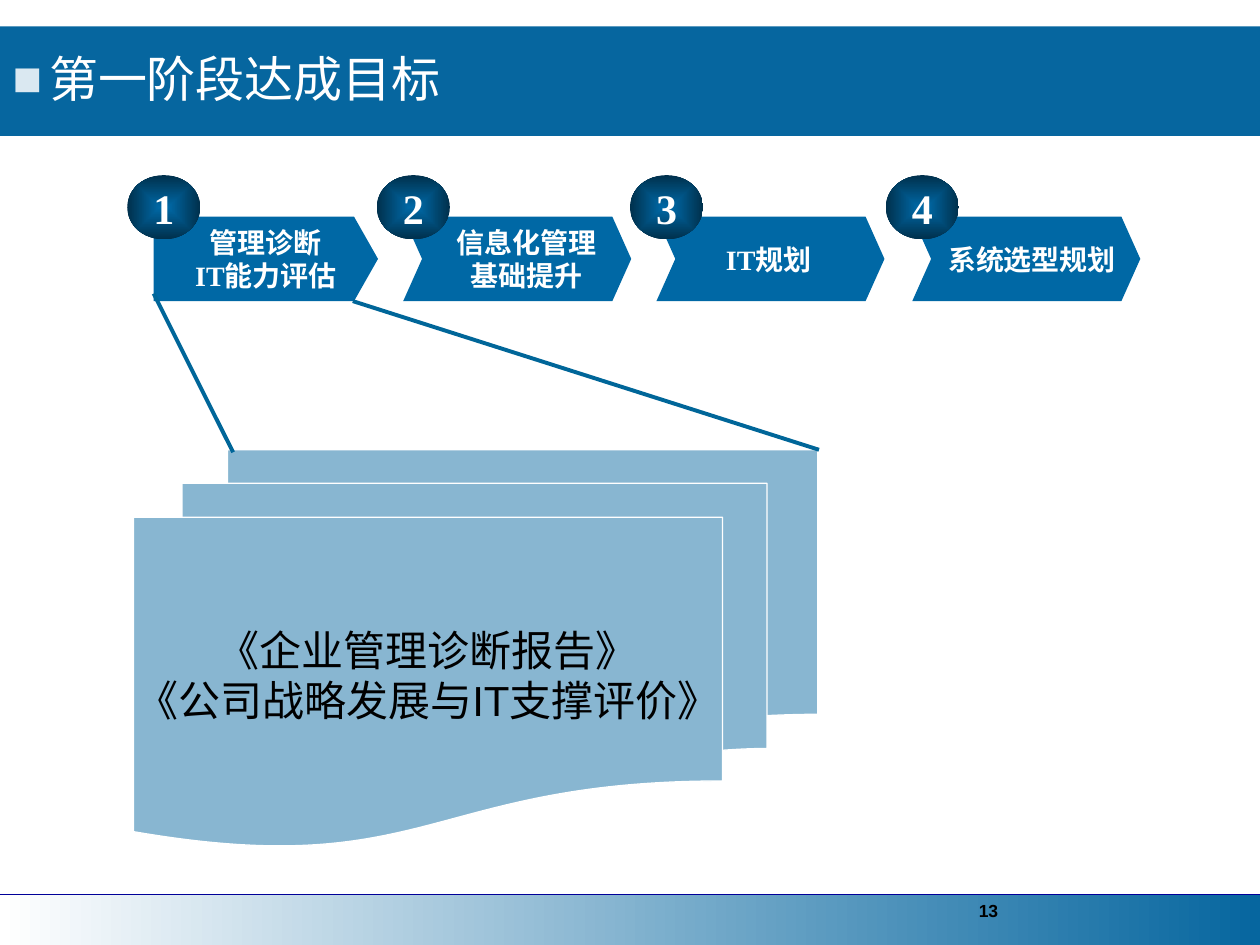
from lxml import etree
from pptx import Presentation
from pptx import util as u
from pptx.dml.color import RGBColor
from pptx.enum import shapes, text
from pptx.oxml import ns

COLORS = {
    "band": "06669F", "arrow": "0068A5", "badge_edge": "00304C",
    "document": "88B6D1", "callout": "006699", "rule": "000099",
    "bullet": "DAE8F1", "white": "FFFFFF", "black": "000000",
}
TITLE = "第一阶段达成目标"
PAGE = "13"
STAGES = [
    {"lines": ["管理诊断", "IT能力评估"], "left": 1.22, "width": 1.78, "tip": 0.19,
     "notch": 0, "center": 2.11, "label_width": 1.5},
    {"lines": ["信息化管理", "基础提升"], "left": 3.2, "center": 4.18},
    {"lines": ["IT规划"], "left": 5.21, "center": 6.1},
    {"lines": ["系统选型规划"], "left": 7.24, "center": 8.19},
]
STAGE_DEFAULTS = {"width": 1.81, "tip": 0.15, "notch": 0.15, "label_width": 1.82}
REPORTS = ["《企业管理诊断报告》", "《公司战略发展与IT支撑评价》"]
CALLOUTS = [(1.22, 2.33, 1.85, 3.59), (2.8, 2.39, 6.5, 3.57)]

WIDTH, HEIGHT = 10, 7.5
BAND = (0, 0.21, WIDTH, 0.87)
FOOTER_TOP = 7.1
ARROW_TOP, ARROW_HEIGHT = 1.72, 0.67
BADGE_TOP, BADGE_WIDTH, BADGE_HEIGHT = 1.39, 0.58, 0.51
BADGE_SHIFT = 0.21
LINE_HEIGHT = 0.28

presentation = Presentation()
presentation.slide_width, presentation.slide_height = u.Inches(WIDTH), u.Inches(HEIGHT)
slide = presentation.slides.add_slide(presentation.slide_layouts[5])


def color(name):
    return RGBColor.from_string(COLORS[name])


def inches(*lengths):
    return [u.Inches(length) for length in lengths]


def write(shape, lines, size, ink="white", font="Times New Roman", bold=False,
          align=text.PP_ALIGN.CENTER, anchor=text.MSO_ANCHOR.MIDDLE, wrap=False, inset=None):
    frame = shape.text_frame
    frame.text = "\n".join(lines)
    frame.word_wrap = wrap
    frame.auto_size = text.MSO_AUTO_SIZE.NONE
    frame.vertical_anchor = anchor
    if inset is not None:
        frame.margin_left = frame.margin_right = u.Inches(inset)
        frame.margin_top = frame.margin_bottom = u.Inches(inset)
    for paragraph in frame.paragraphs:
        paragraph.alignment = align
        for run in paragraph.runs:
            run.font.size, run.font.name, run.font.bold = u.Pt(size), font, bold
            run.font.color.rgb = color(ink)


def style(shape, fill=None, line=None, line_width=0.75):
    shape.shadow.inherit = False
    if fill:
        shape.fill.solid()
        shape.fill.fore_color.rgb = color(fill)
    if line:
        shape.line.color.rgb = color(line)
        shape.line.width = u.Pt(line_width)
    else:
        shape.line.fill.background()
    return shape


def add_shape(kind, box, **format):
    return style(slide.shapes.add_shape(kind, *inches(*box)), **format)


def add_text(box, lines, size, **format):
    write(slide.shapes.add_textbox(*inches(*box)), lines, size, **format)


def add_line(ends, ink, width):
    line = slide.shapes.add_connector(shapes.MSO_CONNECTOR.STRAIGHT, *inches(*ends))
    line.line.color.rgb = color(ink)
    line.line.width = u.Pt(width)
    etree.SubElement(line.element.spPr, ns.qn("a:effectLst"))


def gradient(shape, start, end, radial=False):
    shape.fill.gradient()
    shape.fill.gradient_angle = 0
    for stop, name, position in zip(shape.fill.gradient_stops, (start, end), (0, 1)):
        stop.color.rgb = color(name)
        stop.position = position
    if radial:
        linear = shape.element.spPr.find(".//" + ns.qn("a:lin"))
        center = etree.Element(ns.qn("a:path"), {"path": "rect"})
        etree.SubElement(center, ns.qn("a:fillToRect"), dict.fromkeys("ltrb", "50000"))
        linear.getparent().replace(linear, center)


def add_arrow(left, width, tip, notch):
    right, bottom, middle = left + width, ARROW_TOP + ARROW_HEIGHT, ARROW_TOP + ARROW_HEIGHT / 2
    points = [(right - tip, ARROW_TOP), (right, middle), (right - tip, bottom), (left, bottom)]
    if notch:
        points.append((left + notch, middle))
    builder = slide.shapes.build_freeform(*inches(left, ARROW_TOP))
    builder.add_line_segments([inches(*point) for point in points], close=True)
    style(builder.convert_to_shape(), fill="arrow")


def add_stage(number, stage):
    add_arrow(*(stage[key] for key in ("left", "width", "tip", "notch")))
    badge = add_shape(shapes.MSO_SHAPE.OVAL,
                      (stage["left"] - BADGE_SHIFT, BADGE_TOP, BADGE_WIDTH, BADGE_HEIGHT))
    gradient(badge, "arrow", "badge_edge", radial=True)
    write(badge, [str(number)], 24, bold=True)
    height = LINE_HEIGHT * len(stage["lines"])
    add_text((stage["center"] - stage["label_width"] / 2,
              ARROW_TOP + (ARROW_HEIGHT - height) / 2, stage["label_width"], height),
             stage["lines"], 16, bold=True)


def add_title():
    band = add_shape(shapes.MSO_SHAPE.RECTANGLE, BAND, fill="band")
    title = slide.shapes.title
    band.element.addnext(title.element)
    title.left, title.top, title.width, title.height = inches(*BAND)
    write(title, [TITLE], 28, font="Arial", align=text.PP_ALIGN.LEFT, wrap=True)
    paragraph = title.text_frame.paragraphs[0]
    properties = paragraph._p.get_or_add_pPr()
    properties.set("marL", str(u.Inches(0.29)))
    properties.set("indent", str(u.Inches(-0.29)))
    bullet_color = etree.SubElement(properties, ns.qn("a:buClr"))
    etree.SubElement(bullet_color, ns.qn("a:srgbClr"), val=COLORS["bullet"])
    etree.SubElement(properties, ns.qn("a:buFont"), typeface="Arial")
    etree.SubElement(properties, ns.qn("a:buChar"), char="■")
    paragraph.line_spacing = 0.9


footer = add_shape(shapes.MSO_SHAPE.RECTANGLE, (0, FOOTER_TOP, WIDTH, HEIGHT - FOOTER_TOP))
gradient(footer, "white", "band")
add_line((0, FOOTER_TOP, WIDTH, FOOTER_TOP), "rule", 1)
add_title()
add_text((7.67, 7.09, 2.33, 0.36), [PAGE], 10, ink="black", font="Arial", bold=True,
         align=text.PP_ALIGN.LEFT, anchor=text.MSO_ANCHOR.TOP, wrap=True)

for number, stage in enumerate(STAGES, 1):
    add_stage(number, {**STAGE_DEFAULTS, **stage})

documents = add_shape(shapes.MSO_SHAPE.FLOWCHART_MULTIDOCUMENT, (1.06, 3.57, 5.43, 3.15),
                      fill="document", line="white")
write(documents, REPORTS, 24, ink="black", font="Arial", inset=0)
for ends in CALLOUTS:
    add_line(ends, "callout", 2.25)

presentation.save("out.pptx")
